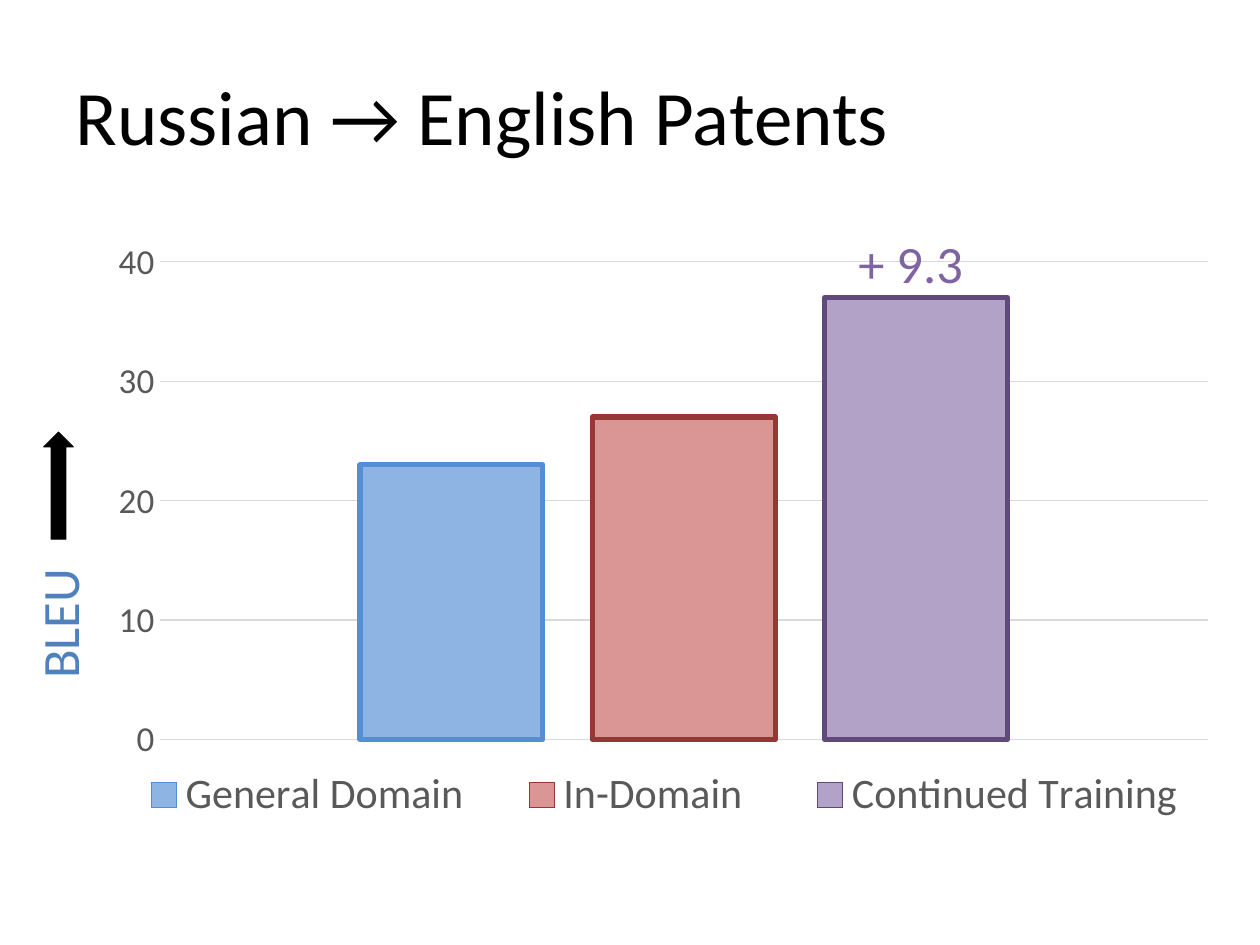
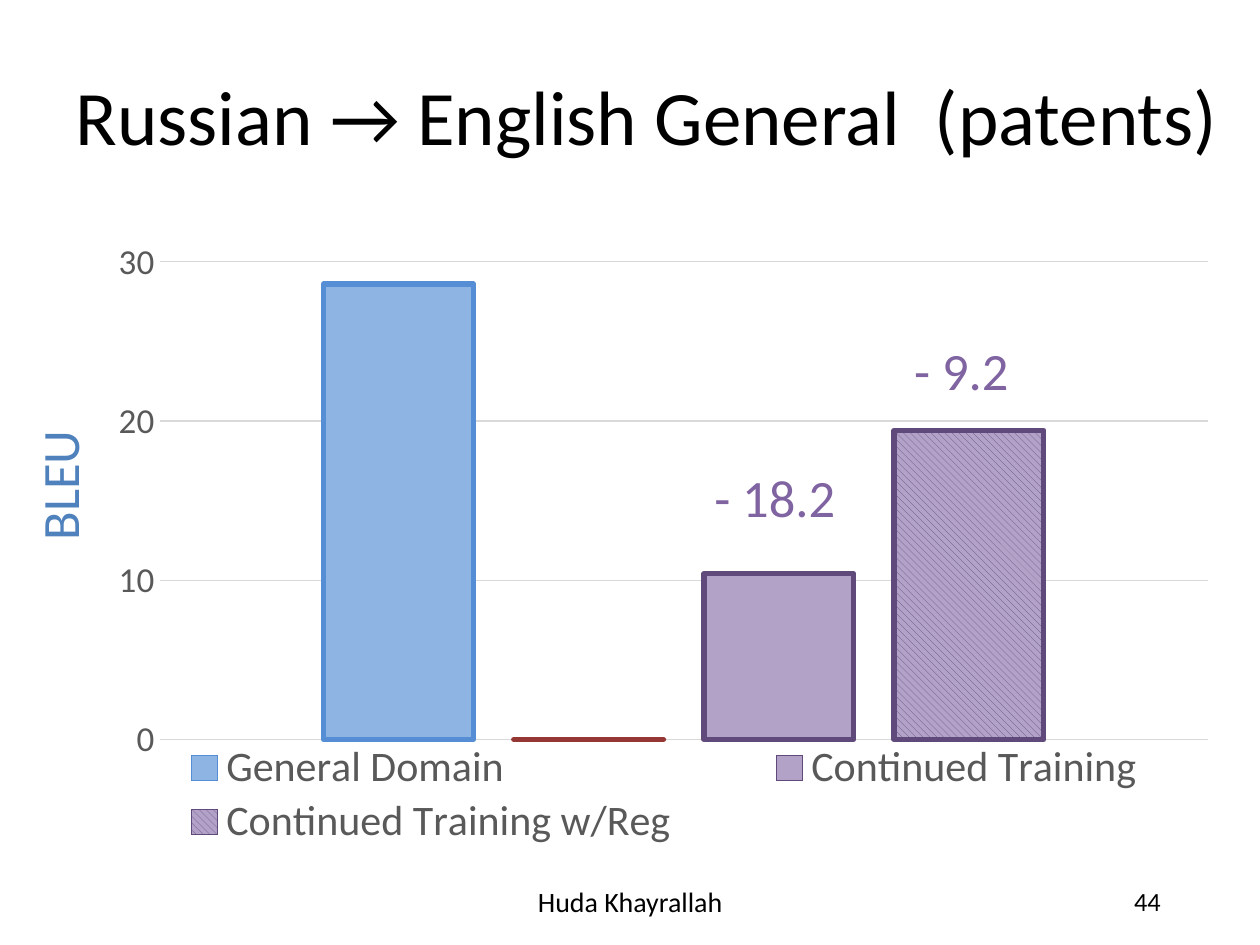
from dataclasses import dataclass

from pptx import Presentation
from pptx import util as u
from pptx.chart.data import CategoryChartData
from pptx.dml.color import RGBColor
from pptx.enum import chart as ch
from pptx.enum import dml, shapes, text
from pptx.oxml import parse_xml
from pptx.oxml.ns import nsdecls

Cm, Pt = u.Cm, u.Pt


@dataclass(frozen=True)
class Theme:
    font: str = "Calibri"
    black: str = "000000"
    axis_text: str = "595959"
    grid: str = "D9D9D9"
    metric: str = "4F81BD"
    change: str = "8064A2"
    # (fill, outline) of each training setup
    general: tuple = ("8EB4E3", "558ED5")
    in_domain: tuple = ("D99694", "953735")
    continued: tuple = ("B3A2C7", "604A7B")
    title_size: int = 44
    label_size: int = 30
    legend_size: int = 24
    axis_size: int = 20
    footer_size: int = 16
    number_size: int = 15
    bar_line: float = 3
    grid_line: float = 0.75


THEME = Theme()

# Left, top, width, height in percent of the chart
PLOT_BOX = (5.5, 5.4, 92.45, 76.6)
LEGEND_BOX = (0.2, 82, 99.6, 17.8)


@dataclass(frozen=True)
class Score:
    setup: str
    bleu: float
    colours: tuple
    hatched: bool = False
    in_legend: bool = True


def rgb(colour):
    return RGBColor.from_string(colour)


def style_font(font, size, colour):
    font.name = THEME.font
    font.size = Pt(size)
    font.color.rgb = rgb(colour)


def write(frame, words, size, colour=THEME.black, align=text.PP_ALIGN.LEFT,
          anchor=text.MSO_ANCHOR.TOP, fit=text.MSO_AUTO_SIZE.NONE, spacing=None):
    frame.word_wrap = True
    frame.auto_size = fit
    frame.vertical_anchor = anchor
    paragraph = frame.paragraphs[0]
    paragraph.alignment = align
    paragraph.line_spacing = spacing
    run = paragraph.add_run()
    run.text = words
    style_font(run.font, size, colour)


def add_title(slide, words, width=22.86):
    title = slide.shapes.title
    title.left, title.top, title.width, title.height = map(Cm, (1.27, 0.84, width, 3.18))
    write(title.text_frame, words, THEME.title_size,
          anchor=text.MSO_ANCHOR.MIDDLE, spacing=0.9)


def add_label(slide, words, left, top, width, height, size, rotation=0, **style):
    label = slide.shapes.add_textbox(*map(Cm, (left, top, width, height)))
    label.rotation = rotation
    write(label.text_frame, words, size, **style)


def add_change(slide, words, left, top):
    add_label(slide, words, left, top, 3.76, 1.55, THEME.label_size,
              colour=THEME.change, align=text.PP_ALIGN.CENTER,
              fit=text.MSO_AUTO_SIZE.SHAPE_TO_FIT_TEXT)


def add_metric(slide, top):
    add_label(slide, "BLEU", -0.22, top, 2.82, 1.55, THEME.label_size, rotation=270,
              colour=THEME.metric, fit=text.MSO_AUTO_SIZE.SHAPE_TO_FIT_TEXT)


def add_better_arrow(slide):
    arrow = slide.shapes.add_shape(shapes.MSO_SHAPE.UP_ARROW,
                                   *map(Cm, (0.88, 8.71, 0.6, 2.16)))
    arrow.shadow.inherit = False
    arrow.fill.solid()
    arrow.fill.fore_color.rgb = rgb(THEME.black)
    arrow.line.color.rgb = rgb(THEME.black)
    arrow.line.width = Pt(0.5)


def add_footer(slide, author, number):
    middle = text.MSO_ANCHOR.MIDDLE
    add_label(slide, author, 8.41, 17.65, 8.59, 1.02, THEME.footer_size,
              align=text.PP_ALIGN.CENTER, anchor=middle)
    add_label(slide, number, 17.93, 17.65, 5.72, 1.02, THEME.number_size,
              align=text.PP_ALIGN.RIGHT, anchor=middle)


def place_part(part, index, box, inner=False):
    """Fix a chart part to box, given in percent of the chart."""
    for old in part.xpath("c:layout"):
        part.remove(old)
    target = '<c:layoutTarget val="inner"/>' if inner else ""
    modes = "".join(f'<c:{side}Mode val="edge"/>' for side in "xy")
    sizes = "".join(f'<c:{side} val="{percent / 100}"/>'
                    for side, percent in zip("xywh", box))
    part.insert(index, parse_xml(
        f'<c:layout {nsdecls("c")}><c:manualLayout>{target}{modes}{sizes}'
        '</c:manualLayout></c:layout>'))


def paint_bar(series, score):
    fill, outline = score.colours
    bar = series.format
    if score.hatched:
        bar.fill.patterned()
        bar.fill.pattern = dml.MSO_PATTERN.WIDE_DOWNWARD_DIAGONAL
        bar.fill.fore_color.rgb = rgb(outline)
        bar.fill.back_color.rgb = rgb(fill)
    else:
        bar.fill.solid()
        bar.fill.fore_color.rgb = rgb(fill)
    bar.line.color.rgb = rgb(outline)
    bar.line.width = Pt(THEME.bar_line)
    series.invert_if_negative = False


def style_axes(chart, top_score):
    chart.category_axis.visible = False
    axis = chart.value_axis
    axis.minimum_scale, axis.maximum_scale, axis.major_unit = 0, top_score, 10
    axis.major_tick_mark = axis.minor_tick_mark = ch.XL_TICK_MARK.NONE
    axis.format.line.fill.background()
    style_font(axis.tick_labels.font, THEME.axis_size, THEME.axis_text)
    grid = axis.major_gridlines.format.line
    grid.color.rgb = rgb(THEME.grid)
    grid.width = Pt(THEME.grid_line)


def add_legend(chart, scores):
    chart.has_legend = True
    chart.legend.position = ch.XL_LEGEND_POSITION.BOTTOM
    chart.legend.include_in_layout = False
    style_font(chart.legend.font, THEME.legend_size, THEME.axis_text)
    legend = chart.element.xpath("//c:legend")[0]
    place_part(legend, 1, LEGEND_BOX)
    hidden = [i for i, score in enumerate(scores) if not score.in_legend]
    for index in reversed(hidden):
        legend.insert(1, parse_xml(
            f'<c:legendEntry {nsdecls("c")}><c:idx val="{index}"/>'
            '<c:delete val="1"/></c:legendEntry>'))


def add_score_chart(slide, scores, top_score):
    data = CategoryChartData()
    data.categories = ["1"]
    for score in scores:
        data.add_series(score.setup, [score.bleu])
    chart = slide.shapes.add_chart(
        ch.XL_CHART_TYPE.COLUMN_CLUSTERED,
        *map(Cm, (1.96, 4.6, 22.86, 12.57)), data).chart
    chart.has_title = False
    style_font(chart.font, 10, THEME.black)
    plot = chart.plots[0]
    plot.vary_by_categories = False
    plot.gap_width, plot.overlap = 219, -27
    for series, score in zip(plot.series, scores):
        paint_bar(series, score)
    style_axes(chart, top_score)
    add_legend(chart, scores)
    place_part(chart.element.xpath("//c:plotArea")[0], 0, PLOT_BOX, inner=True)


def add_patents_slide(deck, layout):
    slide = deck.slides.add_slide(layout)
    add_title(slide, "Russian → English Patents")
    add_score_chart(slide, [
        Score("General Domain", 23, THEME.general),
        Score("In-Domain ", 27, THEME.in_domain),
        Score("Continued Training", 37, THEME.continued),
    ], 40)
    add_change(slide, "+ 9.3", 16.48, 4.53)
    add_metric(slide, 11.75)
    add_better_arrow(slide)


def add_general_slide(deck, layout):
    slide = deck.slides.add_slide(layout)
    add_title(slide, "Russian → English General  (patents)", width=24.13)
    add_score_chart(slide, [
        Score("General Domain", 28.6, THEME.general),
        Score("Series 2", 0, THEME.in_domain, in_legend=False),
        Score("Continued Training", 10.4, THEME.continued),
        Score("Continued Training w/Reg", 19.4, THEME.continued, hatched=True),
    ], 30)
    add_change(slide, "- 9.2", 17.5, 6.68)
    add_footer(slide, "Huda Khayrallah", "44")
    add_change(slide, "- 18.2", 13.74, 9.25)
    add_metric(slide, 8.96)


def main():
    deck = Presentation()
    deck.slide_width, deck.slide_height = Cm(25.4), Cm(19.05)
    title_only = deck.slide_layouts[5]
    add_patents_slide(deck, title_only)
    add_general_slide(deck, title_only)
    deck.save("out.pptx")


if __name__ == "__main__":
    main()
